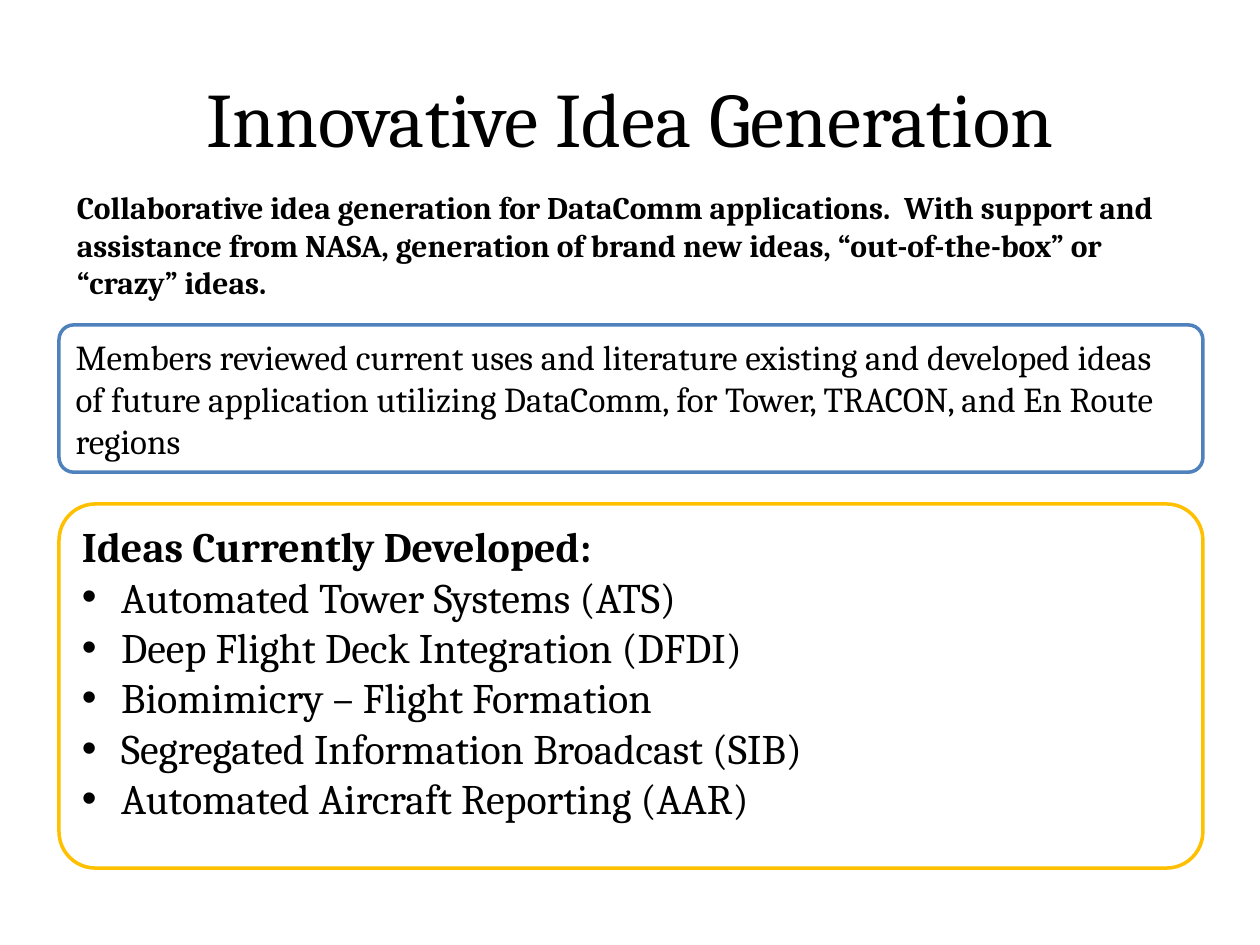
from lxml.etree import SubElement
from pptx import Presentation
from pptx.dml.color import RGBColor
from pptx.enum.shapes import MSO_SHAPE
from pptx.enum.text import MSO_ANCHOR, PP_ALIGN
from pptx.oxml.ns import qn
from pptx.util import Cm, Pt

COLORS = {"text": "000000", "panel": "FFFFFF", "review": "4F81BD", "ideas": "FFC000"}
FONT = "Cambria"
PANEL_LEFT, PANEL_WIDTH = 1.19, 23.06
BULLET_INDENT = Cm(0.79)

IDEAS = [
    "Automated Tower Systems (ATS)",
    "Deep Flight Deck Integration (DFDI)",
    "Biomimicry – Flight Formation",
    "Segregated Information Broadcast (SIB)",
    "Automated Aircraft Reporting (AAR)",
]


def color(name):
    return RGBColor.from_string(COLORS[name])


def write(para, text, size, bold=False, align=PP_ALIGN.LEFT):
    para.alignment = align
    span = para.add_run()
    span.text = text
    span.font.name = FONT
    span.font.size = Pt(size)
    span.font.bold = bold
    span.font.color.rgb = color("text")


def add_bullet(para):
    properties = para._p.get_or_add_pPr()
    properties.set("marL", str(BULLET_INDENT))
    properties.set("indent", str(-BULLET_INDENT))
    SubElement(properties, qn("a:buFont"), typeface="Arial")
    SubElement(properties, qn("a:buChar"), char="•")


def add_text_box(page, left, top, width, height, anchor):
    """Add a wrapping text box and return its text frame."""
    box = page.shapes.add_textbox(Cm(left), Cm(top), Cm(width), Cm(height))
    box.text_frame.word_wrap = True
    box.text_frame.vertical_anchor = anchor
    return box.text_frame


def add_panel(page, left, top, width, height, outline):
    """Add a rounded, outlined panel and return its text frame."""
    panel = page.shapes.add_shape(
        MSO_SHAPE.ROUNDED_RECTANGLE, Cm(left), Cm(top), Cm(width), Cm(height))
    panel.adjustments[0] = 0.1
    panel.shadow.inherit = False
    panel.fill.solid()
    panel.fill.fore_color.rgb = color("panel")
    panel.line.color.rgb = color(outline)
    panel.line.width = Pt(2)
    panel.text_frame.word_wrap = True
    panel.text_frame.vertical_anchor = MSO_ANCHOR.TOP
    return panel.text_frame


def add_title(page, left, top, width, height):
    frame = add_text_box(page, left, top, width, height, MSO_ANCHOR.MIDDLE)
    write(frame.paragraphs[0], "Innovative Idea Generation", 44, align=PP_ALIGN.CENTER)


def add_introduction(page, left, top, width, height):
    frame = add_text_box(page, left, top, width, height, MSO_ANCHOR.TOP)
    write(frame.paragraphs[0],
          "Collaborative idea generation for DataComm applications.  With support and "
          "assistance from NASA, generation of brand new ideas, “out-of-the-box” or "
          "“crazy” ideas.", 18, bold=True)


def add_review(page, left, top, width, height):
    frame = add_panel(page, left, top, width, height, "review")
    write(frame.paragraphs[0],
          "Members reviewed current uses and literature existing and developed ideas "
          "of future application utilizing DataComm, for Tower, TRACON, and En Route "
          "regions", 20)


def add_ideas(page, left, top, width, height):
    frame = add_panel(page, left, top, width, height, "ideas")
    write(frame.paragraphs[0], "Ideas Currently Developed:", 24, bold=True)
    for idea in IDEAS:
        para = frame.add_paragraph()
        add_bullet(para)
        write(para, idea, 24)


def main():
    deck = Presentation()
    deck.slide_width, deck.slide_height = Cm(25.4), Cm(19.05)
    page = deck.slides.add_slide(deck.slide_layouts[6])
    add_title(page, 1.27, 0.76, 22.86, 3.18)
    add_review(page, PANEL_LEFT, 6.55, PANEL_WIDTH, 2.97)
    add_introduction(page, 1.3, 3.66, 22.99, 3.33)
    add_ideas(page, PANEL_LEFT, 10.16, PANEL_WIDTH, 7.34)
    deck.save("out.pptx")


if __name__ == "__main__":
    main()
